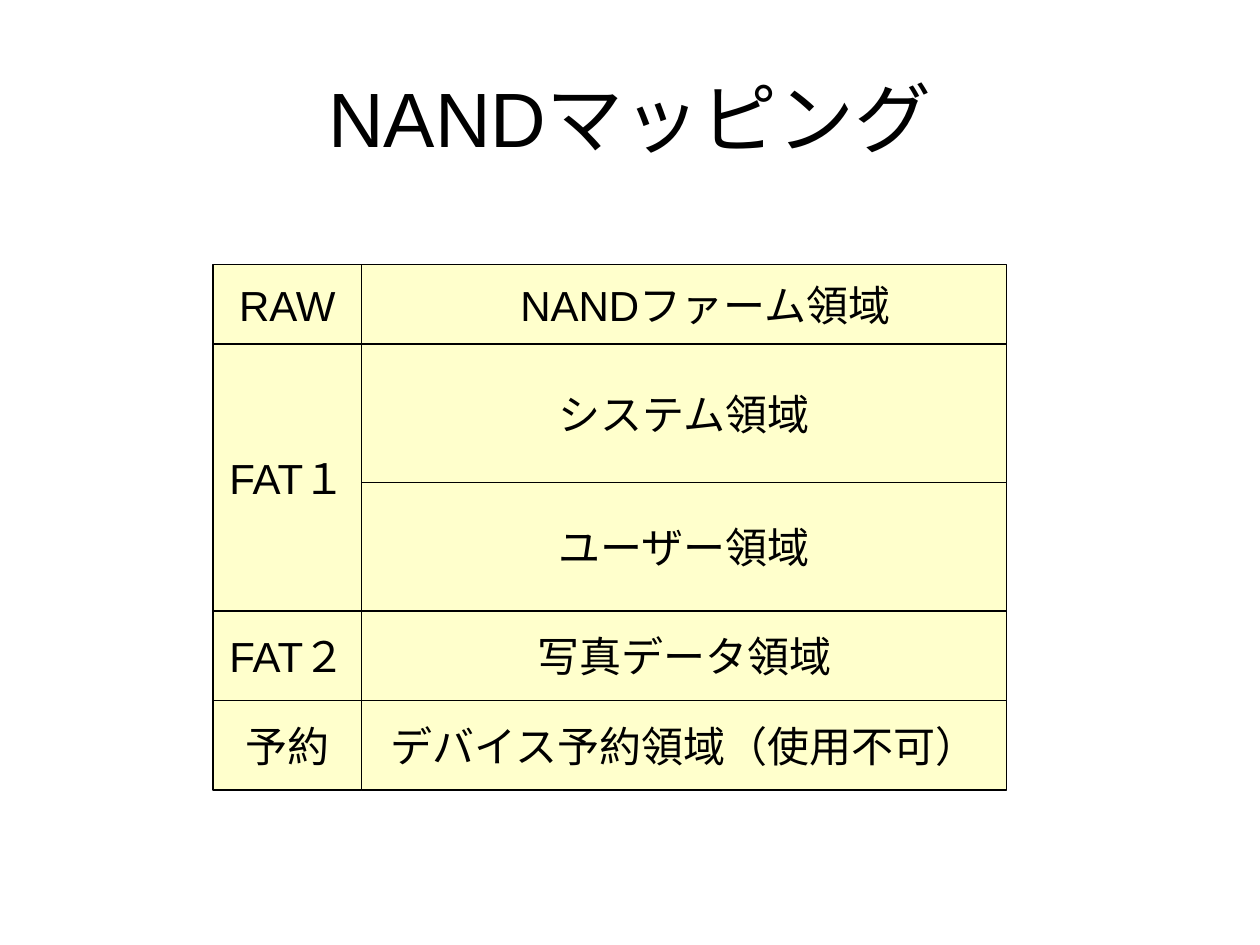
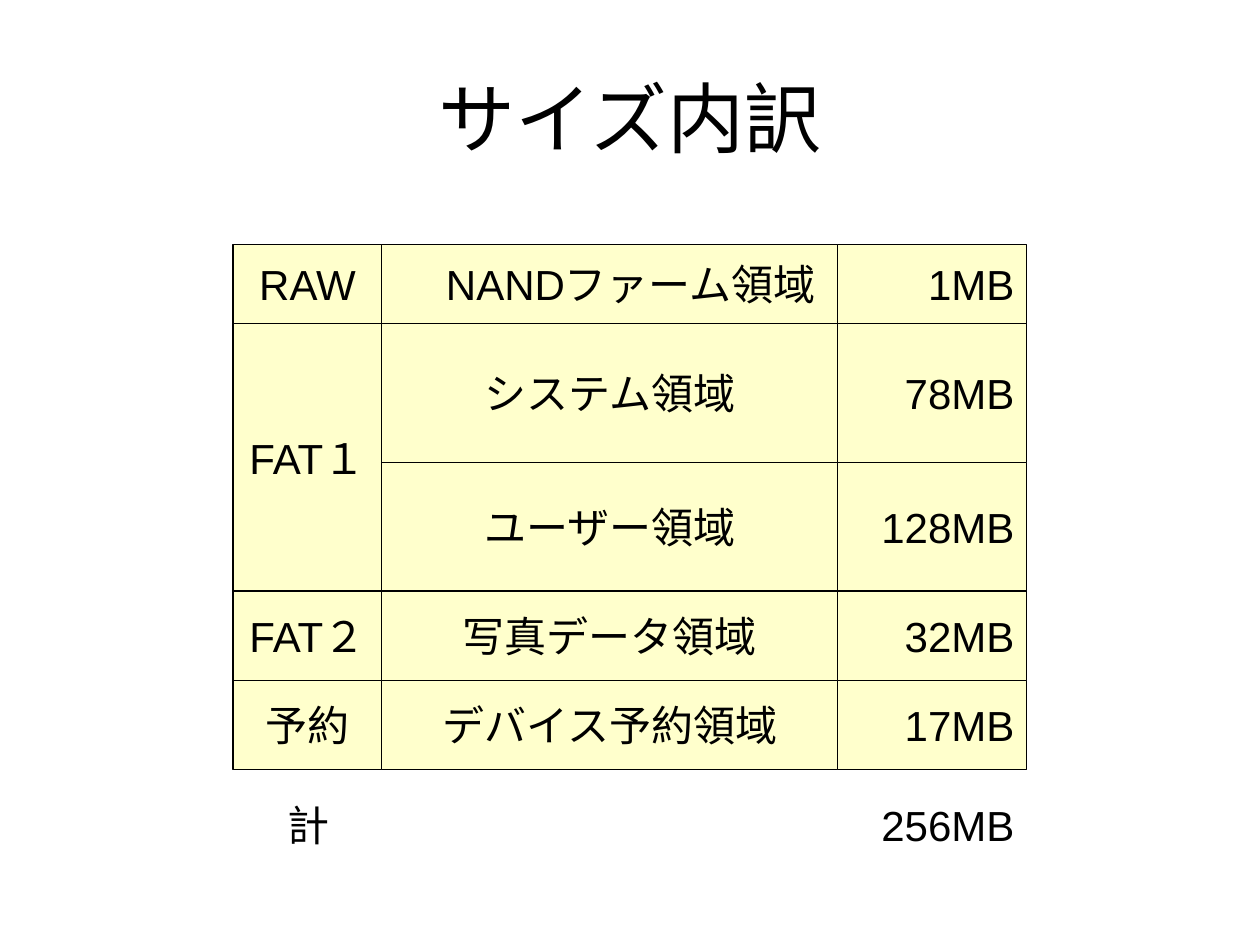
from itertools import accumulate

from pptx import Presentation
from pptx.dml.color import RGBColor
from pptx.enum.shapes import MSO_SHAPE
from pptx.enum.text import MSO_ANCHOR, PP_ALIGN
from pptx.util import Inches, Pt

BLACK = RGBColor(0, 0, 0)
WHITE = RGBColor(255, 255, 255)
CREAM = RGBColor(255, 255, 204)
RECT = MSO_SHAPE.RECTANGLE
MIDDLE = MSO_ANCHOR.MIDDLE
CENTER, RIGHT = PP_ALIGN.CENTER, PP_ALIGN.RIGHT

TITLE_ONLY = 5
HEIGHTS = [0.63, 1.1, 1.02, 0.71, 0.71]
TAG_WIDTH = 1.18
TAGS = [("RAW", 1), ("FAT１", 2), ("FAT２", 1), ("予約", 1)]
AREAS = ["　NANDファーム領域", "システム領域", "ユーザー領域", "写真データ領域"]
SIZES = ["1MB", "78MB", "128MB", "32MB", "17MB"]


def single(texts):
    return [(text, 1) for text in texts]


class Deck:
    """Holds the shared style and the current slide."""

    frame = {"margin_left": Inches(0.1), "margin_right": Inches(0.1),
             "margin_top": Inches(0.05), "margin_bottom": Inches(0.05),
             "vertical_anchor": MIDDLE}
    head = {"name": "Arial", "size": Pt(44)}
    body = {"name": "Arial", "size": Pt(24)}

    def __init__(self):
        self.prs = Presentation()
        self.prs.slide_width = Inches(10)
        self.prs.slide_height = Inches(7.5)
        self.slide = None

    def label(self, shape, text, font, align, wrap):
        frame = shape.text_frame
        for key, value in self.frame.items():
            setattr(frame, key, value)
        frame.word_wrap = wrap
        para = frame.paragraphs[0]
        para.alignment = align
        run = para.add_run()
        run.text = text
        for key, value in font.items():
            setattr(run.font, key, value)
        run.font.color.rgb = BLACK

    def start(self, text):
        """Add a slide with this title."""
        layout = self.prs.slide_layouts[TITLE_ONLY]
        self.slide = self.prs.slides.add_slide(layout)
        title = self.slide.shapes.title
        title.left, title.top = Inches(0.5), Inches(0.3)
        title.width, title.height = Inches(9), Inches(1.25)
        self.label(title, text, self.head, CENTER, True)

    def cell(self, box, text, align=CENTER, fill=CREAM, line=True):
        shape = self.slide.shapes.add_shape(RECT, *map(Inches, box))
        shape.shadow.inherit = False
        shape.fill.solid()
        shape.fill.fore_color.rgb = fill
        if line:
            shape.line.color.rgb = BLACK
            shape.line.width = Pt(0.75)
        else:
            shape.line.fill.background()
        self.label(shape, text, self.body, align, False)

    def column(self, left, top, width, items, align=CENTER):
        """Stack (text, row span) items over the shared row heights."""
        edges = list(accumulate(HEIGHTS, initial=top))
        row = 0
        for text, span in items:
            end = row + span
            box = (left, edges[row], width, edges[end] - edges[row])
            self.cell(box, text, align)
            row = end


def main():
    deck = Deck()

    deck.start("NANDマッピング")
    left, top = 1.69, 2.1
    deck.column(left, top, TAG_WIDTH, TAGS)
    areas = single(AREAS + ["デバイス予約領域（使用不可）"])
    deck.column(left + TAG_WIDTH, top, 5.12, areas)

    deck.start("サイズ内訳")
    left, top = 1.85, 1.94
    area_width, size_width = 3.62, 1.5
    area_left = left + TAG_WIDTH
    size_left = area_left + area_width
    deck.column(size_left, top, size_width, single(SIZES), RIGHT)
    areas = single(AREAS + ["デバイス予約領域"])
    deck.column(area_left, top, area_width, areas)
    deck.column(left, top, TAG_WIDTH, TAGS)
    total_top, total_height = 6.19, 0.71
    plain = {"fill": WHITE, "line": False}
    deck.cell((2.01, total_top, 0.87, total_height), "計", **plain)
    deck.cell((size_left, total_top, size_width, total_height),
              "256MB", RIGHT, **plain)

    deck.prs.save("out.pptx")


if __name__ == "__main__":
    main()
